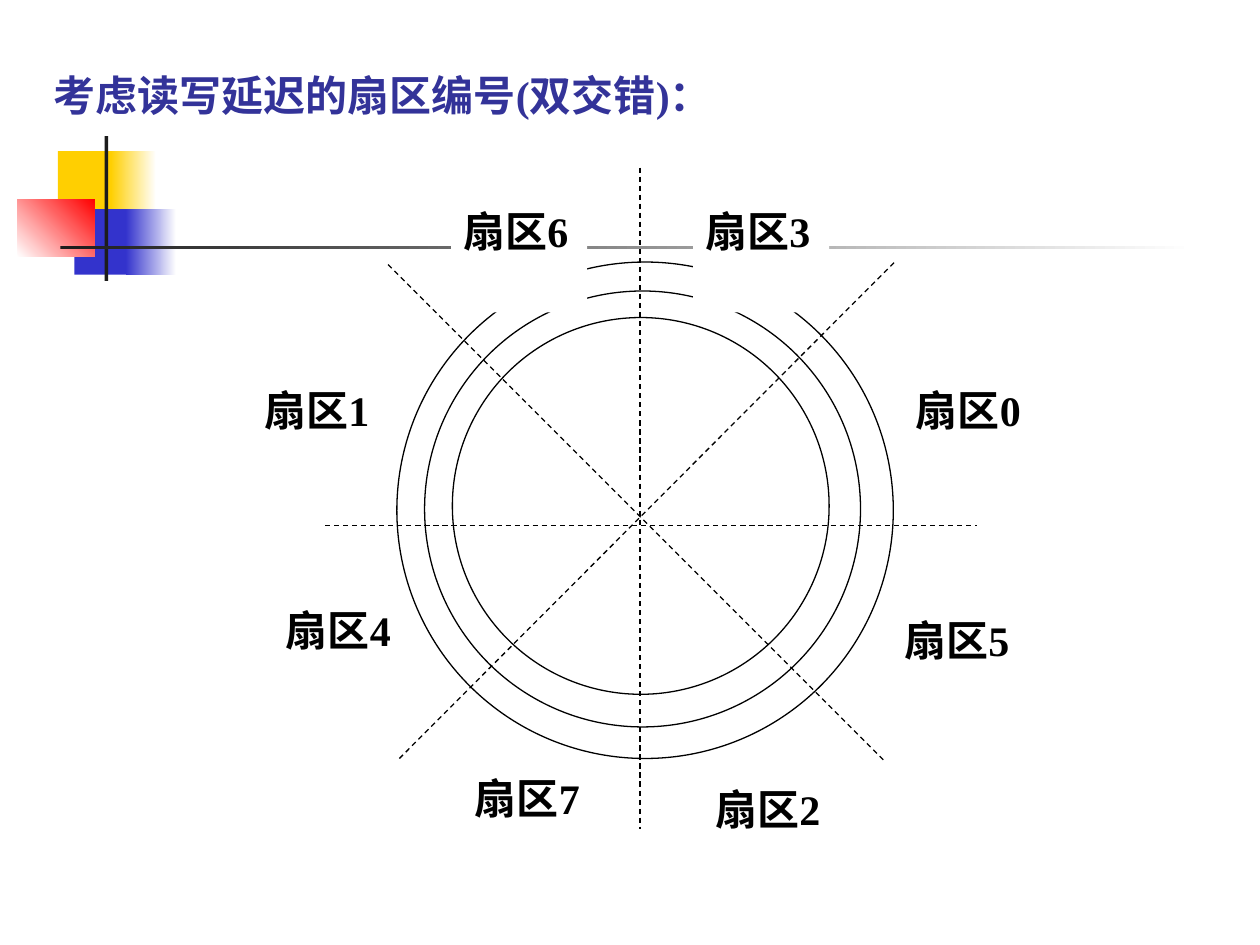
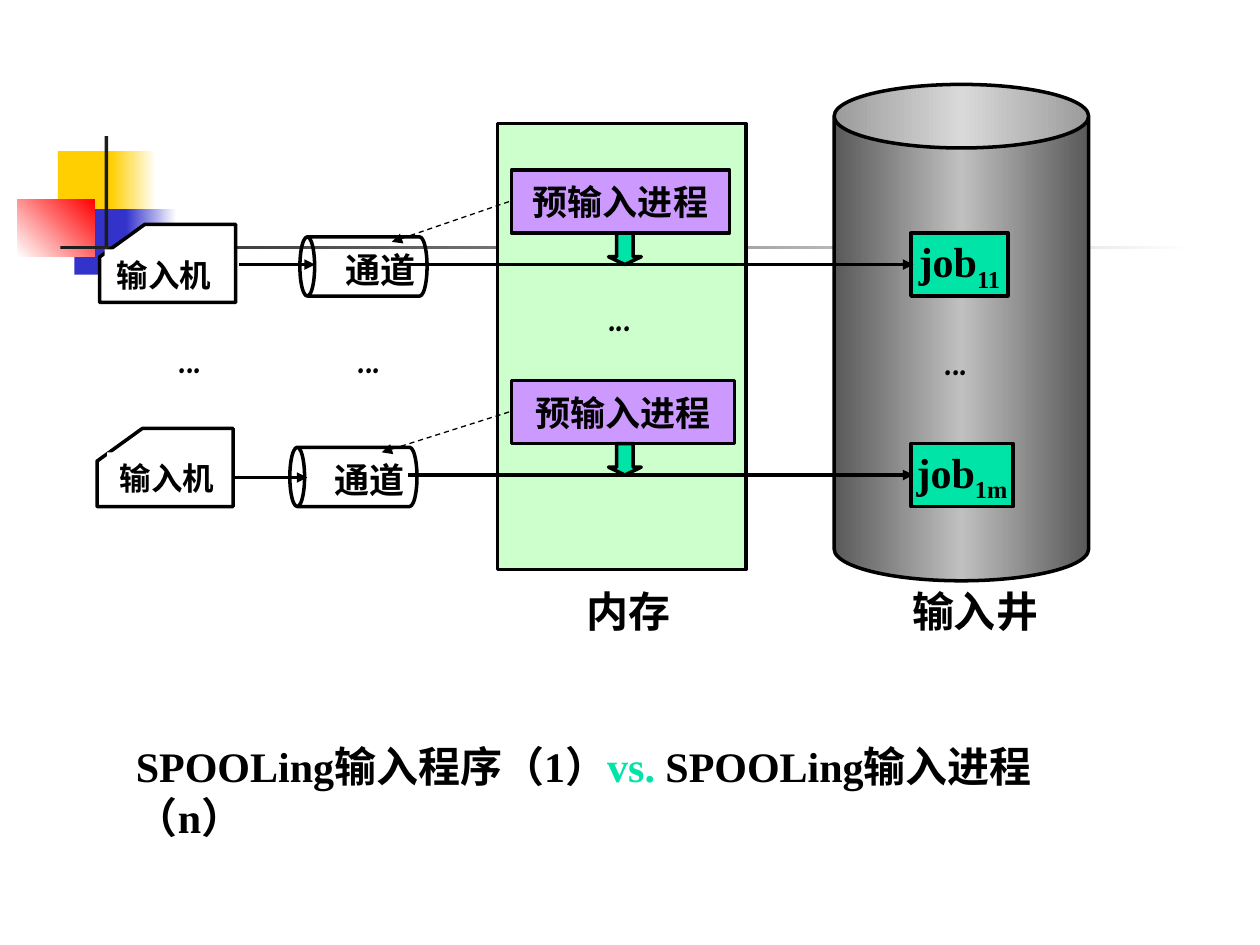
from copy import deepcopy

from lxml.etree import SubElement
from pptx import Presentation
from pptx.dml.color import RGBColor
from pptx.enum.dml import MSO_LINE
from pptx.enum.shapes import MSO_CONNECTOR, MSO_SHAPE
from pptx.enum.text import MSO_ANCHOR, PP_ALIGN
from pptx.oxml.ns import qn
from pptx.util import Inches, Pt

BLACK, WHITE, INK = "000000", "FFFFFF", "1C1C1C"
YELLOW, BLUE, RED = "FFCF01", "3333CC", "FF0000"
TITLE_BLUE = "333399"
GREEN, MINT, VIOLET = "00E4A8", "CCFFCC", "CC99FF"
STEEL, SILVER = "595959", "C0C0C0"
SERIF, COMIC, SANS = "Times New Roman", "Comic Neue", "Karla"
HEAVY, THIN = 2, 0.75
ROW_STEP = 1.67


def color(hex_code):
    return RGBColor.from_string(hex_code)


def fill_gradient(shape, stops, angle):
    shape.fill.gradient()
    shape.fill.gradient_angle = angle
    stop_list = shape.fill.gradient_stops[0]._gs.getparent()
    for _ in stops[2:]:
        stop_list.append(deepcopy(stop_list[0]))
    for index, (stop, hex_code) in enumerate(zip(shape.fill.gradient_stops, stops)):
        stop.color.rgb = color(hex_code)
        stop.position = index / (len(stops) - 1)


def paint(shape, fill=None, outline=None, angle=0):
    shape.shadow.inherit = False
    if fill is None:
        shape.fill.background()
    elif isinstance(fill, tuple):
        fill_gradient(shape, fill, angle)
    else:
        shape.fill.solid()
        shape.fill.fore_color.rgb = color(fill)
    if outline:
        shape.line.color.rgb = color(BLACK)
        shape.line.width = Pt(outline)
    else:
        shape.line.fill.background()


def add_figure(slide, kind, box, fill=None, outline=None, angle=0):
    figure = slide.shapes.add_shape(kind, *map(Inches, box))
    paint(figure, fill, outline, angle)
    return figure


def write(shape, runs, size, font=SERIF, centered=False):
    frame = shape.text_frame
    frame.word_wrap = not centered
    frame.vertical_anchor = MSO_ANCHOR.MIDDLE if centered else MSO_ANCHOR.TOP
    paragraph = frame.paragraphs[0]
    paragraph.alignment = PP_ALIGN.CENTER if centered else PP_ALIGN.LEFT
    paragraph.font.name = font
    paragraph.font.size = Pt(size)
    paragraph.font.bold = True
    for text, hex_code in runs:
        run = paragraph.add_run()
        run.text = text
        run.font.color.rgb = color(hex_code)
    return paragraph


def add_text(slide, box, text, size=24, font=SERIF, hex_code=BLACK):
    caption = slide.shapes.add_textbox(*map(Inches, box))
    write(caption, [(text, hex_code)], size, font)


def add_plate(slide, box, text, size):
    plate = add_figure(slide, MSO_SHAPE.RECTANGLE, box, WHITE)
    write(plate, [(text, BLACK)], size)


def add_line(slide, start, end, width, dashed=False, arrow=False):
    line = slide.shapes.add_connector(
        MSO_CONNECTOR.STRAIGHT, *map(Inches, (*start, *end)))
    line.line.color.rgb = color(BLACK)
    line.line.width = Pt(width)
    if dashed:
        line.line.dash_style = MSO_LINE.DASH
    if arrow:
        SubElement(line.line._get_or_add_ln(), qn("a:tailEnd"), type="triangle")
    SubElement(line._element.spPr, qn("a:effectLst"))


def add_decoration(slide):
    for box, fill, angle in [
        ((0.46, 1.2, 0.48, 0.52), YELLOW, 0),
        ((0.88, 1.2, 0.36, 0.52), (YELLOW, WHITE), 0),
        ((0.59, 1.66, 0.46, 0.52), BLUE, 0),
        ((1, 1.66, 0.4, 0.52), (BLUE, WHITE), 0),
        ((0.14, 1.58, 0.61, 0.46), (WHITE, RED), 45),
        ((0.83, 1.08, 0.03, 1.15), INK, 0),
        ((0.48, 1.95, 9, 0.03), (INK, WHITE), 0),
    ]:
        add_figure(slide, MSO_SHAPE.RECTANGLE, box, fill, angle=angle)


def add_machine(slide, left, top, label_at):
    right, bottom = left + 1.08, top + 0.62
    corners = [(right, top), (right, bottom), (left, bottom), (left, top + 0.26)]
    builder = slide.shapes.build_freeform(Inches(left + 0.36), Inches(top))
    builder.add_line_segments([(Inches(x), Inches(y)) for x, y in corners])
    paint(builder.convert_to_shape(), WHITE, HEAVY)
    add_plate(slide, (*label_at, 0.98, 0.4), "输入机", 18)


def add_channel(slide, left, top):
    tube = add_figure(slide, MSO_SHAPE.CAN, (left, top, 0.47, 1.01), None, HEAVY)
    tube.rotation = 270
    add_text(slide, (left - 0.01, top + 0.31, 0.94, 0.44), "通道", 20)


def add_process(slide, top, width, font):
    process = add_figure(slide, MSO_SHAPE.RECTANGLE, (4.06, top, width, 0.5),
                         VIOLET, HEAVY)
    write(process, [("预输入进程", BLACK)], 20, font, centered=True)


def add_job(slide, top, width, subscript):
    job = add_figure(slide, MSO_SHAPE.RECTANGLE, (7.23, top, width, 0.5),
                     GREEN, HEAVY)
    paragraph = write(job, [("job", BLACK), (subscript, BLACK)], 24, centered=True)
    paragraph.runs[1].font._element.set("baseline", "-25000")


def build_sectors(slide):
    for left, top, diameter in [(3.15, 2.08, 3.94), (3.37, 2.31, 3.46),
                                (3.59, 2.52, 2.99)]:
        add_figure(slide, MSO_SHAPE.OVAL, (left, top, diameter, diameter),
                   WHITE, THIN)
    for start, end in [((3.08, 2.1), (7.02, 6.04)), ((3.17, 6.02), (7.1, 2.08)),
                       ((5.08, 1.33), (5.08, 6.58)), ((2.58, 4.17), (7.75, 4.17))]:
        add_line(slide, start, end, THIN, dashed=True)
    for number, left, top in [(0, 7.17, 3), (5, 7.08, 4.83), (2, 5.58, 6.17),
                              (7, 3.67, 6.08), (4, 2.17, 4.75), (1, 2, 3),
                              (6, 3.58, 1.58), (3, 5.5, 1.58)]:
        add_plate(slide, (left, top, 1.08, 0.9), f"扇区{number}", 24)
    add_text(slide, (0.33, 0.5, 8.67, 0.5), "考虑读写延迟的扇区编号(双交错)：",
             hex_code=TITLE_BLUE)


def build_spooling(slide):
    add_figure(slide, MSO_SHAPE.CAN, (6.62, 0.67, 2.02, 3.94),
               (STEEL, SILVER, STEEL), HEAVY)
    add_figure(slide, MSO_SHAPE.RECTANGLE, (3.95, 0.98, 1.97, 3.54), MINT, HEAVY)

    rows = [
        (0.79, 1.78, (0.83, 1.98), 2.65, (1.9, 2.1), 1.73, SANS, 0.77, "11"),
        (0.77, 3.4, (0.85, 3.59), 2.57, (1.84, 3.79), 1.77, SERIF, 0.81, "1m"),
    ]
    for row, (machine_left, machine_top, label_at, channel_left, feed,
              process_width, process_font, job_width, subscript) in enumerate(rows):
        shift = row * ROW_STEP
        flow_y = 2.1 + shift
        add_job(slide, 1.85 + shift, job_width, subscript)
        add_process(slide, 1.35 + shift, process_width, process_font)
        add_channel(slide, channel_left, 1.61 + shift)
        add_line(slide, feed, (feed[0] + 0.6, feed[1]), HEAVY, arrow=True)
        add_line(slide, (3.24, flow_y), (7.25, flow_y), HEAVY, arrow=True)
        push = add_figure(slide, MSO_SHAPE.DOWN_ARROW,
                          (4.83, 1.85 + shift, 0.26, 0.25), GREEN, HEAVY)
        push.adjustments[1] = 0.25
        add_line(slide, (4.04, 1.6 + shift), (channel_left + 0.46, 1.92 + shift),
                 THIN, dashed=True, arrow=True)
        add_machine(slide, machine_left, machine_top, label_at)

    for left, top, width in [(1.32, 2.58, 0.51), (2.74, 2.58, 0.51),
                             (4.73, 2.25, 0.68), (7.4, 2.6, 0.6)]:
        add_text(slide, (left, top, width, 0.5), "...", font=COMIC)
    add_text(slide, (4.56, 4.6, 1.02, 0.5), "内存")
    add_text(slide, (7.14, 4.6, 1.36, 0.5), "输入井")

    comparison = slide.shapes.add_textbox(*map(Inches, (0.98, 5.83, 7.93, 0.9)))
    write(comparison, [("SPOOLing输入程序（1）", BLACK), ("vs.", GREEN),
                       (" SPOOLing输入进程（n）", BLACK)], 24)


def main():
    deck = Presentation()
    deck.slide_width, deck.slide_height = Inches(10), Inches(7.5)
    for build in (build_sectors, build_spooling):
        slide = deck.slides.add_slide(deck.slide_layouts[6])
        add_decoration(slide)
        build(slide)
    deck.save("out.pptx")


if __name__ == "__main__":
    main()
